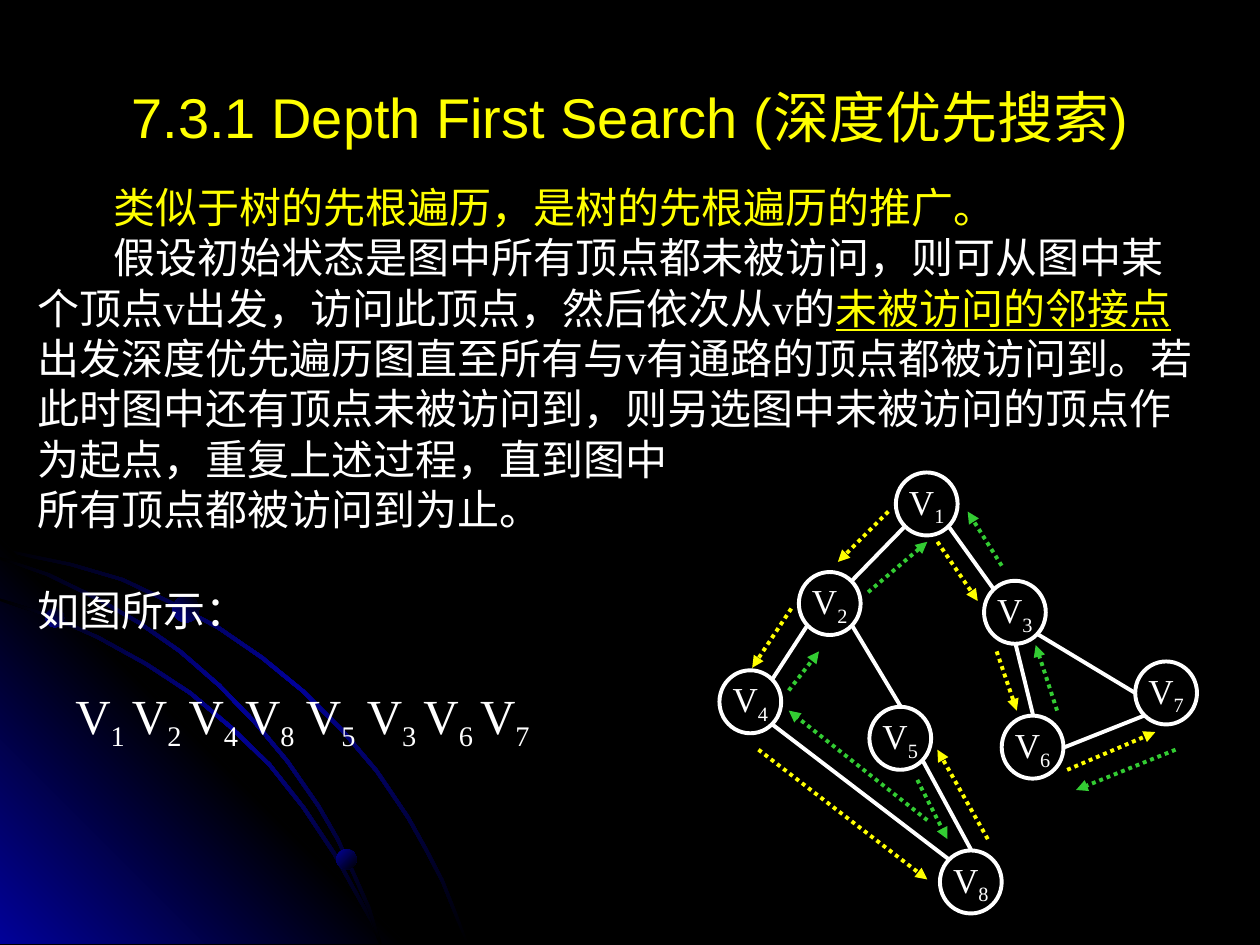
"""Build the depth first search slide with its graph and its walk."""
from lxml.etree import SubElement
from pptx import Presentation
from pptx.dml.color import RGBColor
from pptx.enum.dml import MSO_LINE
from pptx.enum.shapes import MSO_CONNECTOR, MSO_SHAPE
from pptx.enum.text import MSO_ANCHOR, PP_ALIGN
from pptx.oxml.ns import qn
from pptx.util import Inches, Pt

THEME = {
    "black": "000000", "blue": "010199", "white": "FFFFFF",
    "yellow": "FFFF00", "green": "33CC33",
    "serif": "Times New Roman", "sans": "Arial",
    "title": 32, "body": 24, "node": 20, "walk": 28, "line": 2.25,
}

deck = Presentation()
deck.slide_width, deck.slide_height = Inches(10), Inches(7.5)
CELL = deck.slide_width // 1000
slide = deck.slides.add_slide(deck.slide_layouts[6])
shapes = slide.shapes


def color(name):
    return RGBColor.from_string(THEME[name])


def style(para, size, tone="white", face="serif"):
    para.font.size = Pt(THEME[size])
    para.font.name = THEME[face]
    para.font.color.rgb = color(tone)


slide.background.fill.solid()
slide.background.fill.fore_color.rgb = color("black")

ARCS = [
    [(0, 435), (28, 441), (57, 447), (98, 459), (136, 477), (174, 497),
     (209, 521), (242, 548), (272, 578), (300, 611), (325, 648),
     (339, 673), (352, 698), (362, 723), (372, 749)],
    [(0, 475), (41, 488), (79, 505), (117, 526), (152, 549), (184, 576),
     (215, 606), (242, 640), (266, 676), (286, 712), (296, 730), (303, 749)],
    [(0, 442), (39, 455), (76, 473), (111, 493), (144, 516), (175, 543),
     (204, 573), (229, 603), (254, 639), (269, 665), (282, 693),
     (294, 720), (303, 749)],
]
bands = [arc + [(max(x - 2, 0), min(y + 2, 749)) for x, y in reversed(arc)]
         for arc in ARCS]
wedge = [(0, 427), (322, 749), (0, 749)]
ORBS = [(36, 483, 15, 315), (267, 674, 16, 45), (137, 473, 21, 315)]

decor = []
for pts, tones, angle in [
    (bands[0], ("black", "blue", "black"), 45),
    (wedge, ("blue", "black", "blue"), 315),
    (bands[1], ("black", "blue", "black"), 45),
    (bands[2], ("black", "blue", "black"), 45),
]:
    pen = shapes.build_freeform(*pts[0], scale=CELL)
    pen.add_line_segments(pts[1:], close=True)
    decor.append((pen.convert_to_shape(), tones, angle))
for x, y, size, angle in ORBS:
    orb = shapes.add_shape(MSO_SHAPE.OVAL, x * CELL, y * CELL, size * CELL, size * CELL)
    decor.append((orb, ("blue", "black"), angle))

for shape, tones, angle in decor:
    shape.shadow.inherit = False
    shape.line.fill.background()
    shape.fill.gradient()
    grad = shape.fill._xPr.find(qn("a:gradFill"))
    stops = grad.find(qn("a:gsLst"))
    for stop in list(stops):
        stops.remove(stop)
    for i, tone in enumerate(tones):
        stop = SubElement(stops, qn("a:gs"), pos=str(100000 * i // (len(tones) - 1)))
        SubElement(stop, qn("a:srgbClr"), val=THEME[tone])
    grad.find(qn("a:lin")).set("ang", str(angle * 60000))

box = shapes.add_textbox(50 * CELL, 30 * CELL, 900 * CELL, 125 * CELL)
box.text_frame.word_wrap = True
box.text_frame.vertical_anchor = MSO_ANCHOR.MIDDLE
para = box.text_frame.paragraphs[0]
para.text = "7.3.1 Depth First Search (深度优先搜索)"
para.alignment = PP_ALIGN.CENTER
style(para, "title", "yellow", "sans")

BODY = [
    (60, 0, [("类似于树的先根遍历，是树的先根遍历的推广。", "yellow")]),
    (60, 0, [
        ("假设初始状态是图中所有顶点都未被访问，则可从图中某个顶点v出发，访问此顶点，然后依次从v的", "white"),
        ("未被访问的邻接点", "yellow"),
        ("出发深度优先遍历图直至所有与v有通路的顶点都被访问到。若此时图中还有顶点未被访问到，"
         "则另选图中未被访问的顶点作为起点，重复上述过程，直到图中", "white")]),
    (0, 0, [("所有顶点都被访问到为止。", "white")]),
    (0, 29, [("如图所示：", "white")]),
]
box = shapes.add_textbox(20 * CELL, 139 * CELL, 940 * CELL, 373 * CELL)
frame = box.text_frame
frame.word_wrap = True
for i, (indent, gap, runs) in enumerate(BODY):
    para = frame.add_paragraph() if i else frame.paragraphs[0]
    style(para, "body")
    para.space_before = Pt(gap)
    props = para._p.get_or_add_pPr()
    props.set("marL", "0")
    props.set("indent", str(indent * CELL))
    for text, tone in runs:
        run = para.add_run()
        run.text = text
        run.font.color.rgb = color(tone)
        run.font.underline = len(runs) > 1 and tone == "yellow"

NODES = {1: (711, 375), 2: (634, 454), 3: (781, 461), 4: (571, 532),
         5: (690, 561), 8: (746, 675), 6: (795, 568), 7: (901, 525)}
labels = []
for key, (x, y) in NODES.items():
    node = shapes.add_shape(MSO_SHAPE.OVAL, x * CELL, y * CELL, 49 * CELL, 50 * CELL)
    node.shadow.inherit = False
    node.fill.background()
    node.line.color.rgb = color("white")
    node.line.width = Pt(THEME["line"])
    node.text_frame.word_wrap = False
    node.text_frame.vertical_anchor = MSO_ANCHOR.MIDDLE
    para = node.text_frame.paragraphs[0]
    para.alignment = PP_ALIGN.CENTER
    labels.append((para, "node", [("V", str(key))]))

box = shapes.add_textbox(50 * CELL, 539 * CELL, 403 * CELL, 57 * CELL)
box.text_frame.word_wrap = False
WALK = [("V", "1 "), ("V", "2 "), ("V", "4 "), ("V", "8"),
        (" V", "5"), (" V", "3 "), ("V", "6 "), ("V", "7")]
labels.append((box.text_frame.paragraphs[0], "walk", WALK))

for para, size, pairs in labels:
    style(para, size)
    for base, sub in pairs:
        para.add_run().text = base
        run = para.add_run()
        run.text = sub
        run._r.get_or_add_rPr().set("baseline", "-25000")

LINKS = {
    "white": [
        (718, 418, 676, 461), (641, 496, 613, 539), (753, 418, 789, 468),
        (613, 575, 753, 682), (676, 496, 715, 561), (732, 603, 771, 675),
        (806, 511, 820, 568), (823, 503, 901, 550), (845, 593, 908, 568)],
    "yellow": [
        (705, 406, 665, 446), (628, 483, 597, 530), (602, 595, 736, 698),
        (784, 666, 744, 595), (744, 430, 776, 477), (791, 517, 807, 564),
        (847, 611, 917, 581)],
    "green": [
        (728, 619, 752, 666), (736, 651, 626, 564), (626, 548, 650, 517),
        (689, 470, 736, 430), (933, 595, 854, 627), (839, 564, 822, 512),
        (795, 449, 768, 406)],
}
for tone, ends in LINKS.items():
    for spot in ends:
        link = shapes.add_connector(MSO_CONNECTOR.STRAIGHT, *(v * CELL for v in spot))
        link.line.color.rgb = color(tone)
        link.line.width = Pt(THEME["line"])
        if tone != "white":
            link.line.dash_style = MSO_LINE.ROUND_DOT
            SubElement(link.line._get_or_add_ln(), qn("a:tailEnd"), type="triangle")
        SubElement(link._element.spPr, qn("a:effectLst"))

deck.save("out.pptx")
